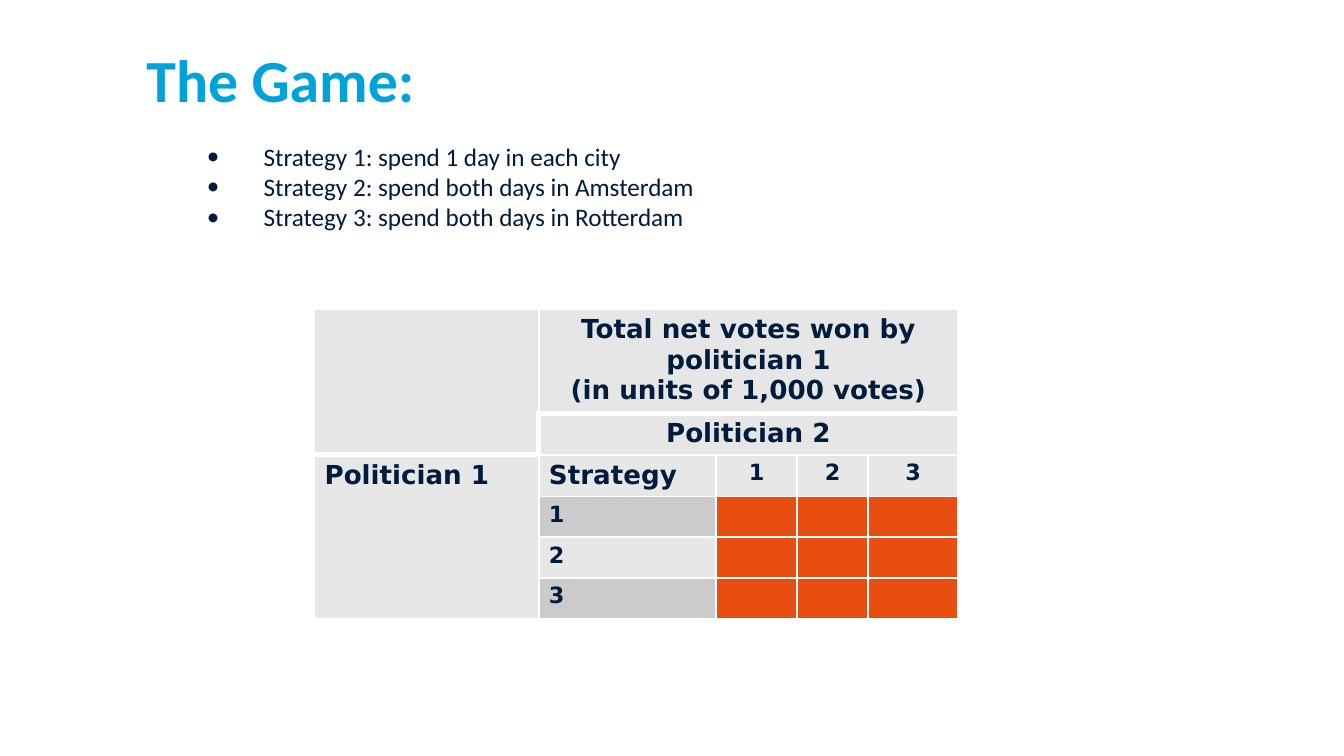
from lxml.etree import SubElement
from pptx import Presentation
from pptx.dml.color import RGBColor
from pptx.enum.text import MSO_ANCHOR, PP_ALIGN
from pptx.oxml.ns import qn
from pptx.util import Inches, Pt

THEME = {
    "title": {"name": "Calibri", "size": 32, "color": "00A2DB", "bold": True},
    "body": {"name": "Calibri", "size": 13.5, "color": "001C3D", "bold": False},
    "head": {"name": "DejaVu Sans", "size": 14, "color": "001C3D", "bold": True},
    "label": {"name": "DejaVu Sans", "size": 12, "color": "001C3D", "bold": True},
    "top": "E6E6E6", "light": "E7E7E7", "dark": "CBCBCB",
    "votes": "E84E10", "rule": "FFFFFF",
}
TITLE = ["The Game:"]
PLANS = [
    " Strategy 1: spend 1 day in each city",
    " Strategy 2: spend both days in Amsterdam",
    " Strategy 3: spend both days in Rotterdam",
]
GRID = [
    ["", "Total net votes won by politician 1\n(in units of 1,000 votes)", "", "", ""],
    ["", "Politician 2", "", "", ""],
    ["Politician 1", "Strategy", "1", "2", "3"],
    ["", "1", "", "", ""],
    ["", "2", "", "", ""],
    ["", "3", "", "", ""],
]
COLS = [1.67, 1.32, 0.6, 0.53, 0.67]  # inches
ROWS = [54] + [21.9] * 5  # points
MERGES = [((0, 0), (1, 0)), ((0, 1), (0, 4)), ((1, 1), (1, 4)), ((2, 0), (5, 0))]


def style(run, look):
    values = {"name": look["name"], "size": Pt(look["size"]), "bold": look["bold"]}
    for key, value in values.items():
        setattr(run.font, key, value)
    run.font.color.rgb = RGBColor.from_string(look["color"])


def write(frame, lines, look, align=PP_ALIGN.LEFT):
    for i, line in enumerate(lines):
        para = frame.paragraphs[0] if i == 0 else frame.add_paragraph()
        para.alignment = align
        run = para.add_run()
        run.text = line
        style(run, look)


def add_text(slide, box, lines, look):
    frame = slide.shapes.add_textbox(*map(Inches, box)).text_frame
    values = {"word_wrap": True, "vertical_anchor": MSO_ANCHOR.TOP,
              "margin_left": 0, "margin_right": 0,
              "margin_top": 0, "margin_bottom": 0}
    for key, value in values.items():
        setattr(frame, key, value)
    write(frame, lines, look)
    return frame


def add_bullet(para, indent):
    props = para._p.get_or_add_pPr()
    props.set("marL", str(Inches(indent)))
    props.set("indent", str(-Inches(indent)))
    SubElement(props, qn("a:buFont")).set("typeface", THEME["body"]["name"])
    SubElement(props, qn("a:buChar")).set("char", "•")


def add_rules(cell, row, col):
    """Thin rules all round, thick ones where the heading rows end."""
    thick = {
        "L": (row, col) == (1, 1),
        "R": (row, col) == (1, 0),
        "T": (row == 1 and col > 0) or (row == 2 and col == 0),
        "B": (row == 0 and col > 0) or (row < 2 and col == 0),
    }
    props = cell._tc.get_or_add_tcPr()
    for side, heavy in thick.items():
        line = SubElement(props, qn("a:ln" + side))
        line.set("w", str(Pt(3 if heavy else 1)))
        fill = SubElement(line, qn("a:solidFill"))
        SubElement(fill, qn("a:srgbClr")).set("val", THEME["rule"])


def shade(row, col):
    if row < 2:
        return THEME["top"]
    if row > 2 and col > 1:
        return THEME["votes"]
    return THEME["dark" if col == 1 and row in (3, 5) else "light"]


def fill_cell(cell, row, col, text):
    margins = {"margin_left": 5.4, "margin_right": 5.4,
               "margin_top": 2.7, "margin_bottom": 2.7}
    for key, value in margins.items():
        setattr(cell, key, Pt(value))
    add_rules(cell, row, col)
    cell.fill.solid()
    cell.fill.fore_color.rgb = RGBColor.from_string(shade(row, col))
    if text:
        look = THEME["label" if text.isdigit() else "head"]
        center = row < 2 or col > 1
        write(cell.text_frame, text.split("\n"), look,
              PP_ALIGN.CENTER if center else PP_ALIGN.LEFT)
    else:
        # Keeps an empty cell from stretching its row
        end = SubElement(cell.text_frame.paragraphs[0]._p, qn("a:endParaRPr"))
        end.set("sz", str(THEME["label"]["size"] * 100))


def add_grid(slide, left, top):
    size = Inches(left), Inches(top), Inches(sum(COLS)), Pt(sum(ROWS))
    table = slide.shapes.add_table(len(ROWS), len(COLS), *size).table
    table.first_row = table.horz_banding = False
    for col, width in zip(table.columns, COLS):
        col.width = Inches(width)
    for row, height in zip(table.rows, ROWS):
        row.height = Pt(height)
    for start, end in MERGES:
        table.cell(*start).merge(table.cell(*end))
    for r, line in enumerate(GRID):
        for c, text in enumerate(line):
            fill_cell(table.cell(r, c), r, c, text)


def main():
    deck = Presentation()
    deck.slide_width = Inches(10)
    deck.slide_height = Inches(10 * 9 / 16)
    slide = deck.slides.add_slide(deck.slide_layouts[6])
    add_text(slide, (1.09, 0.32, 6.84, 0.62), TITLE, THEME["title"])
    body = add_text(slide, (1.54, 1.05, 6.84, 3.38), PLANS, THEME["body"])
    for para in body.paragraphs:
        add_bullet(para, 0.38)
    add_grid(slide, 2.34, 2.3)
    deck.save("out.pptx")


if __name__ == "__main__":
    main()
